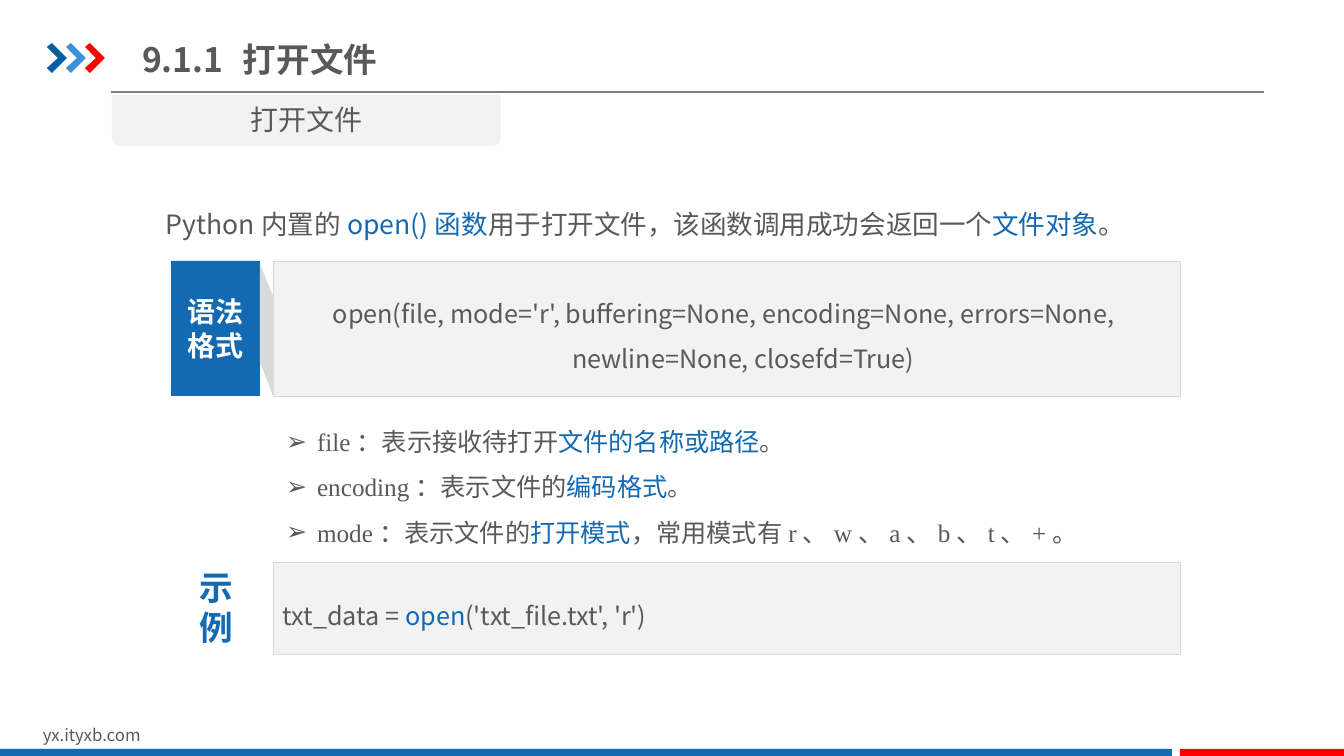
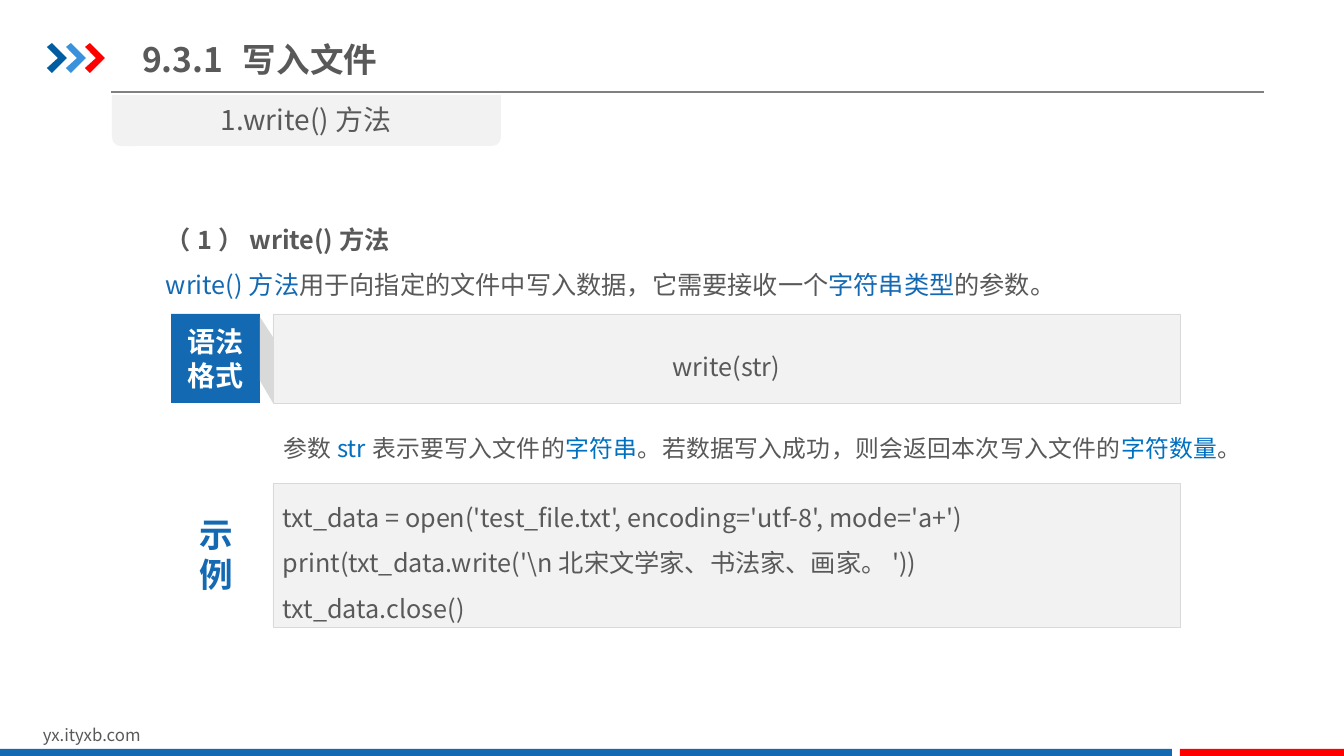
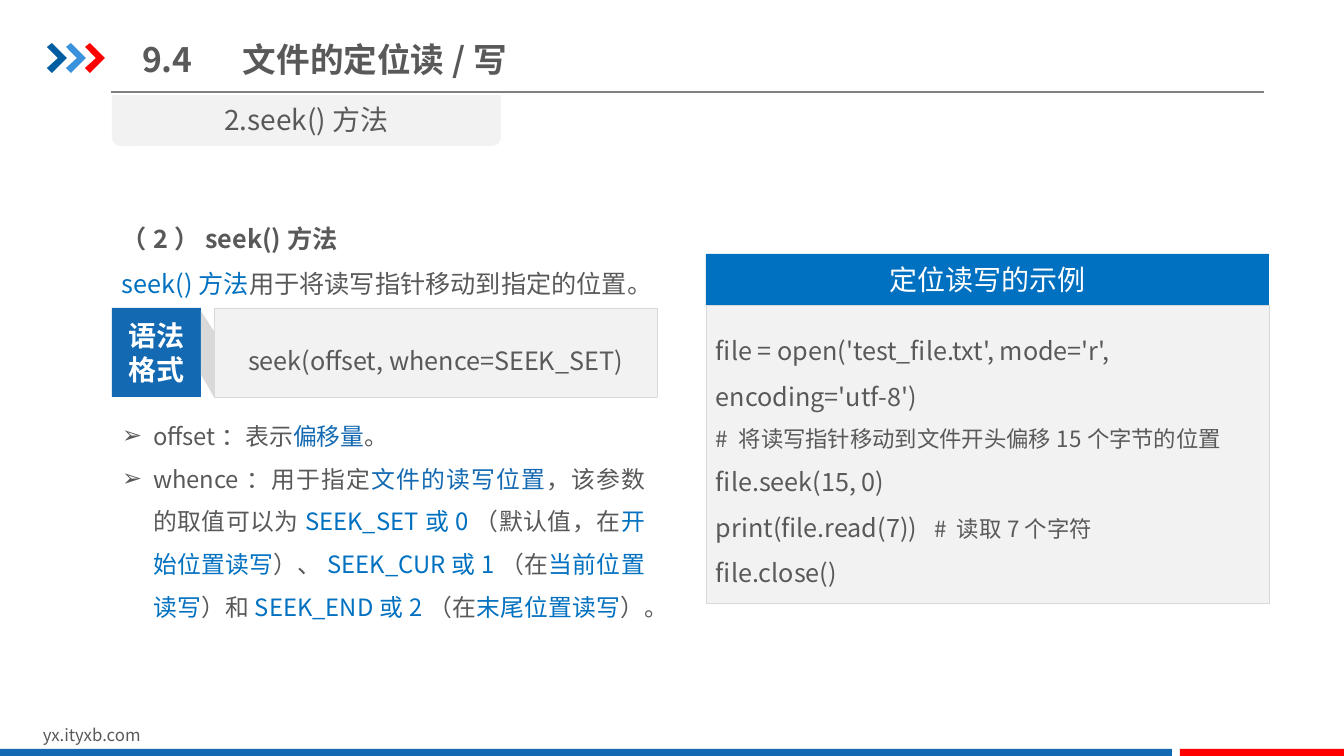
from dataclasses import dataclass

from lxml import etree
from pptx import Presentation
from pptx import util as u
from pptx.dml.color import RGBColor
from pptx.enum import shapes, text
from pptx.oxml.ns import qn

# Shared style
BLUE = RGBColor(0x13, 0x69, 0xB2)
BRIGHT = RGBColor(0x00, 0x70, 0xC0)
NAVY = RGBColor(0x00, 0x5D, 0xA2)
SKY = RGBColor(0x39, 0x92, 0xDB)
RED = RGBColor(0xFF, 0x00, 0x00)
INK = RGBColor(0x59, 0x59, 0x59)
RULE = RGBColor(0x80, 0x80, 0x80)
EDGE = RGBColor(0xD9, 0xD9, 0xD9)
PANEL = RGBColor(0xF2, 0xF2, 0xF2)
WHITE = RGBColor(0xFF, 0xFF, 0xFF)
SANS = "Noto Sans CJK SC"
SERIF = "Times New Roman"
LEFT, CENTER, JUSTIFY = text.PP_ALIGN.LEFT, text.PP_ALIGN.CENTER, text.PP_ALIGN.JUSTIFY
RECT = shapes.MSO_SHAPE.RECTANGLE
EMU_PER_PX = 914400 / 100.8
HANG = 31
TAG_W = 89
BOX_DX = 102
LABEL_H = 92


@dataclass(frozen=True)
class Box:
    x: int
    y: int
    w: int
    h: int


@dataclass(frozen=True)
class Run:
    text: str
    color: RGBColor = INK
    size: int | None = None


@dataclass(frozen=True)
class Para:
    runs: tuple[Run, ...]
    bold: bool = False


@dataclass(frozen=True)
class Style:
    size: int = 18
    align: text.PP_ALIGN = LEFT
    spacing: float = 1.5
    font: str = SANS
    bullet: str = ""
    tab: int = 0


CODE = Style()
SYNTAX = Style(align=CENTER)
HEADING = Style(size=20, align=CENTER, spacing=1.0)


def px(n: float) -> u.Emu:
    return u.Emu(round(n * EMU_PER_PX))


def place(box: Box) -> tuple[u.Emu, ...]:
    return px(box.x), px(box.y), px(box.w), px(box.h)


def para(*runs: str | Run, bold: bool = False) -> Para:
    return Para(tuple(Run(r) if isinstance(r, str) else r for r in runs), bold)


def blue(content: str) -> Run:
    return Run(content, BLUE)


def bright(content: str) -> Run:
    return Run(content, BRIGHT)


# Text
def format_paragraph(p, style: Style) -> None:
    pPr = p._p.get_or_add_pPr()
    hang = px(HANG) if style.bullet else 0
    pPr.set("marL", str(hang))
    pPr.set("indent", str(-hang))
    if style.bullet:
        etree.SubElement(pPr, qn("a:buChar")).set("char", style.bullet)
    else:
        etree.SubElement(pPr, qn("a:buNone"))
    if style.tab:
        tabs = etree.SubElement(pPr, qn("a:tabLst"))
        etree.SubElement(tabs, qn("a:tab"), pos=str(px(style.tab)), algn="l")
    p.alignment = style.align
    p.line_spacing = style.spacing
    p.space_before = u.Pt(0)


def write(tf, paras: list[Para], style: Style) -> None:
    for i, item in enumerate(paras):
        p = tf.add_paragraph() if i else tf.paragraphs[0]
        format_paragraph(p, style)
        for part in item.runs:
            r = p.add_run()
            r.text = part.text
            r.font.name = style.font
            r.font.size = u.Pt(part.size or style.size)
            r.font.bold = item.bold
            r.font.color.rgb = part.color
            etree.SubElement(r.font._element, qn("a:ea")).set("typeface", SANS)


def add_textbox(s, box: Box, paras: list[Para], style: Style, wrap: bool = True):
    sp = s.shapes.add_textbox(*place(box))
    tf = sp.text_frame
    tf.word_wrap = wrap
    tf.auto_size = text.MSO_AUTO_SIZE.SHAPE_TO_FIT_TEXT
    write(tf, paras, style)
    return sp


# Shapes
def paint(sp, fill: RGBColor, edge: RGBColor | None = None) -> None:
    sp.shadow.inherit = False
    sp.fill.solid()
    sp.fill.fore_color.rgb = fill
    if edge is None:
        sp.line.fill.background()
    else:
        sp.line.color.rgb = edge
        sp.line.width = u.Pt(0.25)


def add_block(s, box: Box, fill: RGBColor, edge: RGBColor | None = None,
              paras: list[Para] | None = None, style: Style = CODE,
              kind: shapes.MSO_SHAPE = RECT):
    sp = s.shapes.add_shape(kind, *place(box))
    paint(sp, fill, edge)
    if paras:
        sp.text_frame.word_wrap = True
        sp.text_frame.vertical_anchor = text.MSO_ANCHOR.MIDDLE
        write(sp.text_frame, paras, style)
    return sp


def add_outline(s, points: list[tuple[float, float]], fill: RGBColor):
    first, *rest = [(px(x), px(y)) for x, y in points]
    builder = s.shapes.build_freeform(*first, scale=1.0)
    builder.add_line_segments(rest, close=True)
    sp = builder.convert_to_shape()
    paint(sp, fill)
    return sp


# Decoration shared through the slide master
def add_chevron(s, x: int, y: int, fill: RGBColor):
    corners = [(0, 4), (5, 0), (20, 15), (5, 30), (0, 25), (11, 15)]
    return add_outline(s, [(x + dx, y + dy) for dx, dy in corners], fill)


def add_rule(s):
    line = s.shapes.add_connector(shapes.MSO_CONNECTOR.STRAIGHT,
                                  px(111), px(92), px(1264), px(92))
    line.line.color.rgb = RULE
    line.line.width = u.Pt(0.75)
    etree.SubElement(line.element.spPr, qn("a:effectLst"))
    return line


def decorate_master(prs, s) -> None:
    parts = [add_rule(s)]
    parts += [add_chevron(s, 47 + 19 * i, 43, color)
              for i, color in enumerate((NAVY, SKY, RED))]
    parts.append(add_textbox(s, Box(33, 720, 320, 30), [para("yx.ityxb.com")],
                             Style(size=12, spacing=1.0)))
    parts.append(add_block(s, Box(0, 749, 1172, 7), BLUE))
    parts.append(add_block(s, Box(1180, 749, 164, 7), RED))
    tree = prs.slide_master.shapes.element
    for number, sp in enumerate(parts, 100):
        sp.element.xpath(".//p:cNvPr")[0].set("id", str(number))
        tree.append(sp.element)


# Repeated slide parts
def new_slide(prs, number: str, title: str, tab: int, topic: str):
    s = prs.slides.add_slide(prs.slide_layouts[1])
    sp = s.shapes.title
    sp.left, sp.top, sp.width, sp.height = place(Box(132, 29, 580, 61))
    tf = sp.text_frame
    tf.auto_size = text.MSO_AUTO_SIZE.NONE
    tf.vertical_anchor = text.MSO_ANCHOR.MIDDLE
    write(tf, [para(f"{number}\t{title}", bold=True)],
          Style(size=24, spacing=1.0, tab=tab))
    flap = add_block(s, Box(112, 95, 389, 51), PANEL, None, [para(topic)], HEADING,
                     shapes.MSO_SHAPE.ROUND_2_SAME_RECTANGLE)
    flap.adjustments[0], flap.adjustments[1] = 0, 0.17
    return s


def fill_body(s, box: Box, paras: list[Para], style: Style) -> None:
    sp = s.placeholders[1]
    sp.left, sp.top, sp.width, sp.height = place(box)
    sp.text_frame.auto_size = text.MSO_AUTO_SIZE.SHAPE_TO_FIT_TEXT
    write(sp.text_frame, paras, style)


def add_syntax(s, box: Box, paras: list[Para]) -> None:
    x, y, h = box.x, box.y, box.h
    right = x + BOX_DX
    add_block(s, Box(right, y, box.w - BOX_DX, h), PANEL, EDGE, paras, SYNTAX)
    label = [para(Run(word, WHITE), bold=True) for word in ("语法", "格式")]
    add_block(s, Box(x, y, TAG_W, h), BLUE, None, label, HEADING)
    add_outline(s, [(right, y + 0.26 * h), (right, y + h),
                    (x + TAG_W, y + 0.75 * h), (x + TAG_W, y + 3)], EDGE)


def add_example(s, y: int, h: int, paras: list[Para]) -> None:
    add_block(s, Box(273, y, 907, h), PANEL, EDGE, paras, CODE)
    label = [para(blue(word), bold=True) for word in "示例"]
    add_textbox(s, Box(189, y + (h - LABEL_H) // 2, 54, LABEL_H), label,
                Style(size=24, align=CENTER, spacing=1.0), wrap=False)


# Slides
def open_slide(prs):
    s = new_slide(prs, "9.1.1", "打开文件", 105, "打开文件")
    add_textbox(s, Box(156, 187, 1040, 58), [
        para("Python内置的", blue("open()函数"), "用于打开文件，该函数调用成功会返回一个",
             blue("文件对象"), "。")], Style(size=19))
    add_syntax(s, Box(171, 261, 1009, 135), [
        para("open(file, mode='r', buffering=None, encoding=None, errors=None, "),
        para("      newline=None, closefd=True)")])
    fill_body(s, Box(276, 406, 904, 151), [
        para("file：表示接收待打开", blue("文件的名称或路径"), "。"),
        para("encoding：表示文件的", blue("编码格式"), "。"),
        para("mode：表示文件的", blue("打开模式"), "，常用模式有r、w、a、b、t、+。"),
    ], Style(align=JUSTIFY, font=SERIF, bullet="➢"))
    add_example(s, 562, 92, [
        para("txt_data = ", blue("open"), "('txt_file.txt', 'r')")])
    return s


def write_slide(prs) -> None:
    s = new_slide(prs, "9.3.1", "写入文件", 105, "1.write()方法")
    add_textbox(s, Box(156, 204, 1024, 102), [
        para("（1）write()方法", bold=True),
        para(blue("write()方法"), "用于向指定的文件中写入数据，它需要接收一个",
             blue("字符串类型"), "的参数。")], CODE)
    add_syntax(s, Box(171, 314, 1009, 89), [para("write(str)")])
    fill_body(s, Box(273, 414, 955, 53), [
        para("参数", bright("str"), "表示要写入文件的", bright("字符串"),
             "。若数据写入成功，则会返回本次写入文件的", bright("字符数量"), "。"),
    ], Style(size=17, align=JUSTIFY))
    add_example(s, 483, 144, [
        para("txt_data = open('test_file.txt', encoding='utf-8', mode='a+')"),
        para("print(txt_data.write('\\n北宋文学家、书法家、画家。'))"),
        para("txt_data.close()")])


def seek_slide(prs) -> None:
    s = new_slide(prs, "9.4", "文件的定位读/写", 74, "2.seek()方法")
    add_textbox(s, Box(112, 203, 588, 102), [
        para("（2）seek()方法", bold=True),
        para(bright("seek()方法"), "用于将读写指针移动到指定的位置。")], CODE)
    add_syntax(s, Box(112, 308, 545, 89), [para("seek(offset, whence=SEEK_SET)")])
    fill_body(s, Box(112, 402, 543, 227), [
        para("offset：表示", blue("偏移量"), "。"),
        para("whence：用于指定", blue("文件的读写位置"), "，该参数的取值可以为",
             bright("SEEK_SET或0"), "（默认值，在", bright("开始位置读写"), "）、",
             bright("SEEK_CUR或1"), "（在", bright("当前位置读写"), "）和",
             bright("SEEK_END或2"), "（在", bright("末尾位置读写"), "）。"),
    ], Style(size=17, align=JUSTIFY, bullet="➢"))
    add_block(s, Box(706, 305, 563, 298), PANEL, EDGE, [
        para("file = open('test_file.txt', mode='r', encoding='utf-8')"),
        para(Run("# 将读写指针移动到文件开头偏移15个字节的位置", size=16)),
        para("file.seek(15, 0)"),
        para("print(file.read(7))   ", Run("# 读取7个字符", size=16)),
        para("file.close()")], CODE)
    add_block(s, Box(706, 254, 563, 51), BRIGHT, None,
              [para(Run("定位读写的示例", WHITE))], HEADING)


def main() -> None:
    prs = Presentation()
    prs.slide_width, prs.slide_height = px(1344), px(756)
    decorate_master(prs, open_slide(prs))
    write_slide(prs)
    seek_slide(prs)
    prs.save("out.pptx")


if __name__ == "__main__":
    main()
